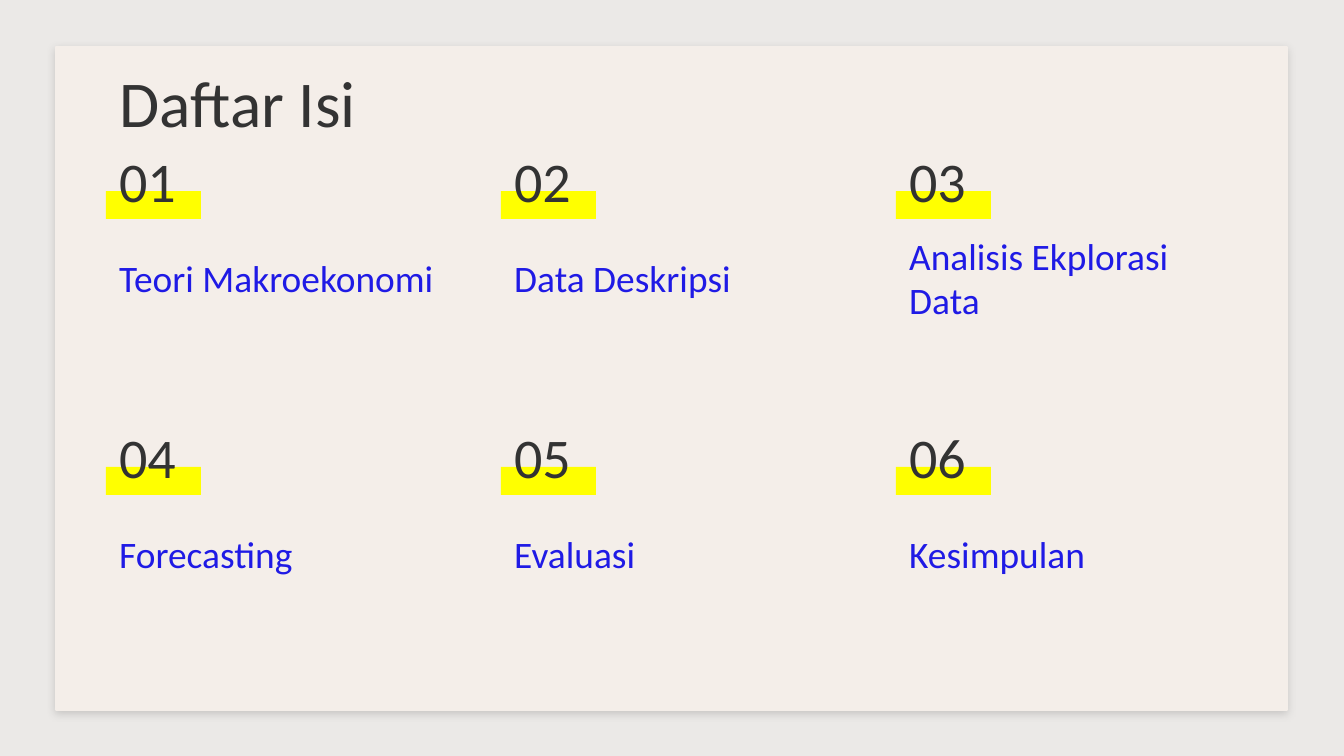
import pptx
import pptx.dml.color
import pptx.enum.shapes
import pptx.enum.text
import pptx.oxml
import pptx.util

BACKDROP = pptx.dml.color.RGBColor(0xEB, 0xE9, 0xE7)
CREAM = pptx.dml.color.RGBColor(0xF4, 0xEE, 0xE9)
YELLOW = pptx.dml.color.RGBColor(0xFF, 0xFF, 0x00)
CHARCOAL = pptx.dml.color.RGBColor(0x33, 0x33, 0x33)
BLUE = pptx.dml.color.RGBColor(0x1F, 0x1A, 0xE5)

PX = 914400 / 134.4
LEFT, COLUMN_STEP, ROW_STEP = 106, 395, 276
INSET = round(13.44 * PX)
FRAME_FORMAT = {
    "word_wrap": True,
    "auto_size": pptx.enum.text.MSO_AUTO_SIZE.NONE,
    "vertical_anchor": pptx.enum.text.MSO_ANCHOR.MIDDLE,
    "margin_left": INSET,
    "margin_right": INSET,
    "margin_top": INSET,
    "margin_bottom": INSET,
}
NUMBER_STYLE = {"size": 30, "color": CHARCOAL, "spacing": 0.8}
TITLE_STYLE = {"size": 35, "color": CHARCOAL, "spacing": 0.8}
CHAPTER_STYLE = {"size": 20, "color": BLUE, "spacing": 1.0}


def emu(*lengths):
    return [pptx.util.Emu(round(length * PX)) for length in lengths]


def write(holder, words, style):
    frame = holder.text_frame
    for key, value in FRAME_FORMAT.items():
        setattr(frame, key, value)
    paragraph = frame.paragraphs[0]
    paragraph.alignment = pptx.enum.text.PP_ALIGN.LEFT
    paragraph.line_spacing = style["spacing"]
    run = paragraph.add_run()
    run.text = words
    for key, value in {"name": "Calibri", "size": pptx.util.Pt(style["size"])}.items():
        setattr(run.font, key, value)
    run.font.color.rgb = style["color"]


deck = pptx.Presentation()
deck.slide_width, deck.slide_height = emu(1344, 756)
slide = deck.slides.add_slide(deck.slide_layouts[5])
slide.background.fill.solid()
slide.background.fill.fore_color.rgb = BACKDROP
RECTANGLE = pptx.enum.shapes.MSO_SHAPE.RECTANGLE

card = slide.shapes.add_shape(RECTANGLE, *emu(56, 47, 1231, 663))
card.fill.solid()
card.fill.fore_color.rgb = CREAM
card.line.color.rgb = CREAM
card.line.width = pptx.util.Pt(0.75)
card.shadow.inherit = False
card_effects = card._element.spPr.find(pptx.oxml.ns.qn("a:effectLst"))
card_effects.append(pptx.oxml.parse_xml(
    f'<a:outerShdw {pptx.oxml.ns.nsdecls("a")} blurRad="57150" dist="19050" '
    'dir="5400000" algn="bl" rotWithShape="0">'
    f'<a:srgbClr val="{CHARCOAL}"><a:alpha val="20000"/></a:srgbClr></a:outerShdw>'
))

heading = slide.shapes.title
heading.left, heading.top, heading.width, heading.height = emu(LEFT, 66, 1133, 85)
write(heading, "Daftar Isi", TITLE_STYLE)
card._element.addnext(heading._element)

chapters = [
    ("Teori Makroekonomi", 371),
    ("Data Deskripsi", 344),
    ("Analisis Ekplorasi Data", 344),
    ("Forecasting", 344),
    ("Evaluasi", 344),
    ("Kesimpulan", 344),
]
for index, (chapter, chapter_width) in enumerate(chapters):
    row, column = divmod(index, 3)
    x = LEFT + column * COLUMN_STEP
    y = row * ROW_STEP
    highlight = slide.shapes.add_shape(RECTANGLE, *emu(x, 191 + y, 95, 28))
    highlight.fill.solid()
    highlight.fill.fore_color.rgb = YELLOW
    highlight.line.fill.background()
    highlight.shadow.inherit = False
    number = slide.shapes.add_textbox(*emu(x, 163 + y, 187, 47))
    write(number, f"{index + 1:02}", NUMBER_STYLE)
    chapter_name = slide.shapes.add_textbox(*emu(x, 242 + y, chapter_width, 71))
    write(chapter_name, chapter, CHAPTER_STYLE)

deck.save("out.pptx")
